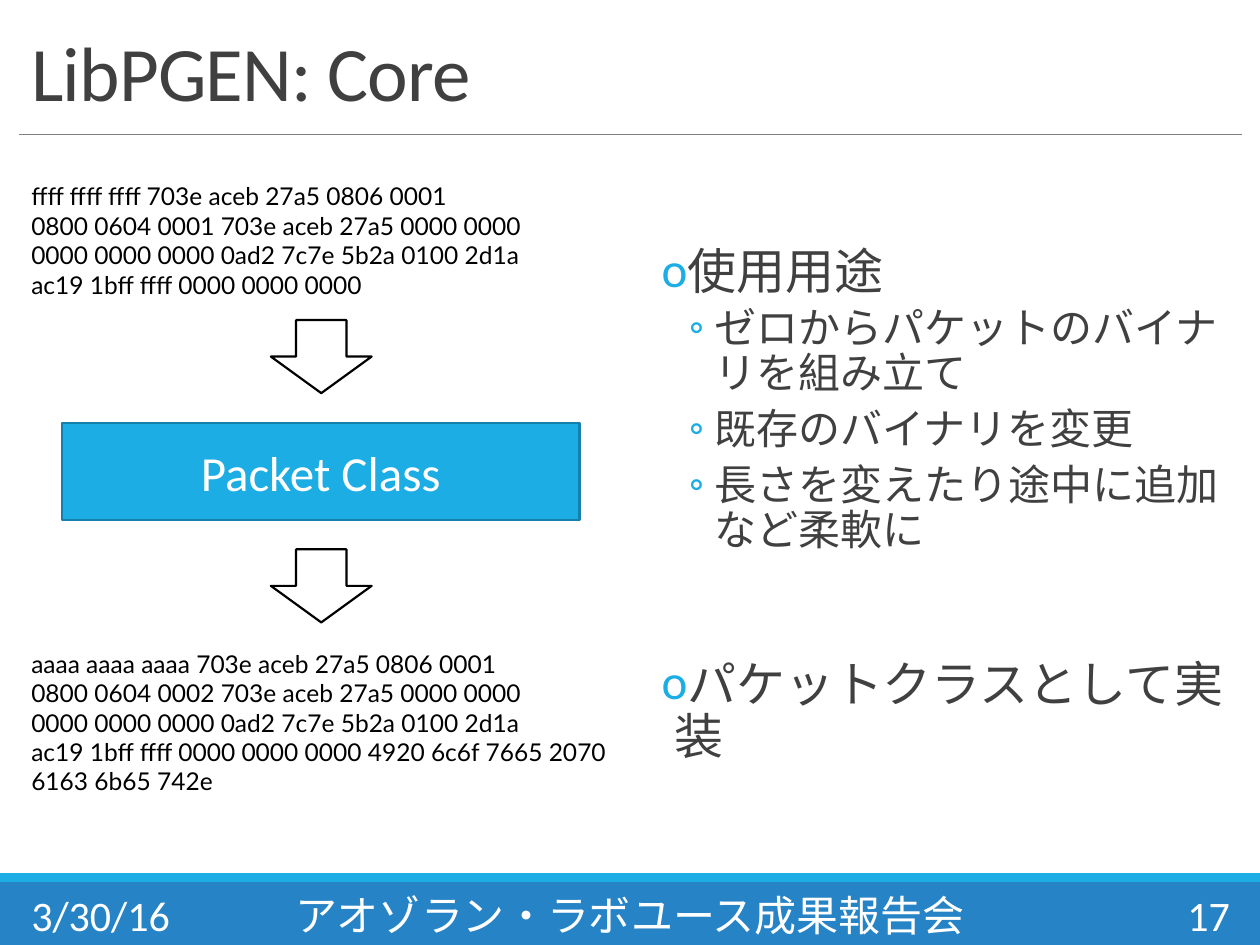
from lxml import etree
from pptx import Presentation
from pptx.dml.color import RGBColor
from pptx.enum.shapes import MSO_CONNECTOR, MSO_SHAPE
from pptx.enum.text import MSO_ANCHOR, PP_ALIGN
from pptx.oxml.ns import qn
from pptx.util import Inches, Pt

RECTANGLE, DOWN_ARROW = MSO_SHAPE.RECTANGLE, MSO_SHAPE.DOWN_ARROW
TOP, MIDDLE, BOTTOM = MSO_ANCHOR.TOP, MSO_ANCHOR.MIDDLE, MSO_ANCHOR.BOTTOM
LEFT, CENTER, RIGHT = PP_ALIGN.LEFT, PP_ALIGN.CENTER, PP_ALIGN.RIGHT

COLORS = {
    "band": "2683C6", "accent": "1CADE4", "accent_edge": "1580A9",
    "rule": "808080", "text": "404040", "black": "000000", "white": "FFFFFF",
}
MARGIN, CONTENT_WIDTH = 0.15, 9.71

INPUT_BYTES = [
    "ffff ffff ffff 703e aceb 27a5 0806 0001",
    "0800 0604 0001 703e aceb 27a5 0000 0000",
    "0000 0000 0000 0ad2 7c7e 5b2a 0100 2d1a",
    "ac19 1bff ffff 0000 0000 0000",
]
OUTPUT_BYTES = [
    "aaaa aaaa aaaa 703e aceb 27a5 0806 0001",
    "0800 0604 0002 703e aceb 27a5 0000 0000",
    "0000 0000 0000 0ad2 7c7e 5b2a 0100 2d1a",
    "ac19 1bff ffff 0000 0000 0000 4920 6c6f 7665 2070 6163 6b65 742e",
]
# Text, level, space before in points
BULLETS = [
    ("使用用途", 0, 0),
    ("ゼロからパケットのバイナリを組み立て", 1, 2),
    ("既存のバイナリを変更", 1, 2),
    ("長さを変えたり途中に追加など柔軟に", 1, 2),
    ("パケットクラスとして実装", 0, 56),
]
# Bullet mark, text indent, hanging indent, size, space after
LEVELS = [("o", 0.1, 0.1, 28, 2), ("◦", 0.42, 0.2, 24, 4)]


def color(name):
    return RGBColor.from_string(COLORS[name])


def format_runs(paragraph, size, color_name, font="Calibri"):
    for run in paragraph.runs:
        run.font.size = Pt(size)
        run.font.name = font
        run.font.color.rgb = color(color_name)


def add_text(slide, box, lines, size, color_name, font="Calibri",
             align=LEFT, anchor=TOP):
    shape = slide.shapes.add_textbox(*map(Inches, box))
    frame = shape.text_frame
    frame.word_wrap = True
    frame.vertical_anchor = anchor
    frame.text = "\n".join(lines)
    for paragraph in frame.paragraphs:
        paragraph.alignment = align
        format_runs(paragraph, size, color_name, font)
    return frame


def add_block(slide, kind, box, fill, line=None):
    shape = slide.shapes.add_shape(kind, *map(Inches, box))
    shape.shadow.inherit = False
    shape.fill.solid()
    shape.fill.fore_color.rgb = color(fill)
    if line:
        shape.line.color.rgb = color(line)
        shape.line.width = Pt(1.25)
    else:
        shape.line.fill.background()
    return shape


def add_header(slide, left, top, width, height):
    frame = add_text(slide, (left, top, width, height), ["LibPGEN: Core"],
                     44, "text", anchor=BOTTOM)
    paragraph = frame.paragraphs[0]
    paragraph.line_spacing = 0.85
    paragraph.runs[0].font._element.set("spc", "-50")
    rule_y = Inches(top + height + 0.09)
    rule = slide.shapes.add_connector(
        MSO_CONNECTOR.STRAIGHT, Inches(left), rule_y, Inches(left + width), rule_y)
    rule.line.color.rgb = color("rule")
    rule.line.width = Pt(0.5)
    etree.SubElement(rule._element.spPr, qn("a:effectLst"))


def add_packet_flow(slide, left, top, width):
    """Bytes in, packet class, bytes out, with an arrow between each."""
    center = left + 2.4
    add_text(slide, (left, top, width, 1.04), INPUT_BYTES, 14, "black", "Lato")
    add_text(slide, (left, top + 3.71, width, 1.28), OUTPUT_BYTES, 14, "black", "Lato")
    for arrow_top in (top + 1.15, top + 2.97):
        add_block(slide, DOWN_ARROW, (center - 0.4, arrow_top, 0.8, 0.58),
                  "white", "black")
    packet = add_block(slide, RECTANGLE, (center - 2.06, top + 1.97, 4.11, 0.77),
                       "accent", "accent_edge")
    packet.text_frame.text = "Packet Class"
    packet.text_frame.vertical_anchor = MIDDLE
    paragraph = packet.text_frame.paragraphs[0]
    paragraph.alignment = CENTER
    format_runs(paragraph, 28, "white")


def set_bullet(paragraph, mark, indent, hanging):
    properties = paragraph._p.get_or_add_pPr()
    properties.set("marL", str(Inches(indent)))
    properties.set("indent", str(-Inches(hanging)))
    bullet_color = etree.SubElement(properties, qn("a:buClr"))
    etree.SubElement(bullet_color, qn("a:srgbClr"), val=COLORS["accent"])
    etree.SubElement(properties, qn("a:buFont"), typeface="Calibri")
    etree.SubElement(properties, qn("a:buChar"), char=mark)


def add_usage_list(slide, left, top, width, height):
    frame = add_text(slide, (left, top, width, height),
                     [text for text, _, _ in BULLETS], 28, "text")
    frame.margin_left = frame.margin_right = 0
    frame.margin_top = Inches(0.67)
    for paragraph, (_, level, before) in zip(frame.paragraphs, BULLETS):
        mark, indent, hanging, size, after = LEVELS[level]
        set_bullet(paragraph, mark, indent, hanging)
        paragraph.level = level
        paragraph.line_spacing = 0.9
        paragraph.space_before = Pt(before)
        paragraph.space_after = Pt(after)
        format_runs(paragraph, size, "text")


def add_footer(slide, left, top, width, height):
    add_block(slide, RECTANGLE, (left, top, width, height), "band")
    add_block(slide, RECTANGLE, (left, top - 0.07, width, 0.07), "accent")
    fields = [
        ("3/30/16", MARGIN, 1.36, LEFT),
        ("アオゾラン・ラボユース成果報告会", 1.67, 6.66, CENTER),
        ("17", 8.46, 1.4, RIGHT),
    ]
    for text, offset, field_width, align in fields:
        add_text(slide, (left + offset, top + 0.06, field_width, 0.4), [text],
                 24, "white", align=align, anchor=MIDDLE)


def main():
    presentation = Presentation()
    presentation.slide_width = Inches(10)
    presentation.slide_height = Inches(7.5)
    slide = presentation.slides.add_slide(presentation.slide_layouts[6])
    add_footer(slide, 0, 7, 10, 0.5)
    add_header(slide, MARGIN, 0.14, CONTENT_WIDTH, 0.84)
    add_usage_list(slide, 5.25, 1.29, 4.61, 5.54)
    add_packet_flow(slide, MARGIN, 1.39, 4.8)
    presentation.save("out.pptx")


if __name__ == "__main__":
    main()
